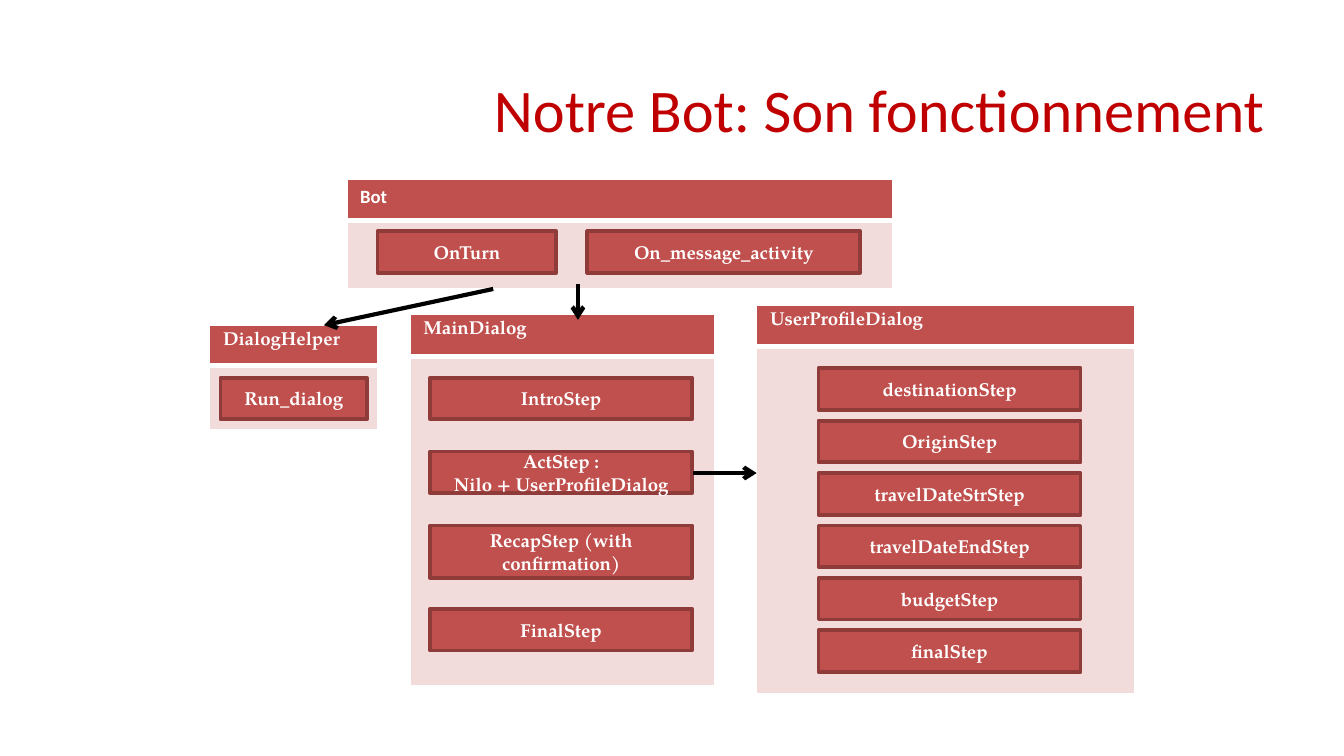
import pptx
import pptx.dml.color
import pptx.enum.shapes
import pptx.enum.text
import pptx.oxml
import pptx.oxml.ns
import pptx.util
from dataclasses import dataclass

Inches = pptx.util.Inches
Pt = pptx.util.Pt
RGBColor = pptx.dml.color.RGBColor
PP_ALIGN = pptx.enum.text.PP_ALIGN
MSO_ANCHOR = pptx.enum.text.MSO_ANCHOR


@dataclass(frozen=True)
class Theme:
    title_color: str = "C00000"
    fill: str = "C0504D"
    outline: str = "8E3B39"
    panel: str = "F2DCDB"
    light: str = "FFFFFF"
    arrow: str = "000000"
    title_font: str = "Calibri"
    body_font: str = "TeX Gyre Pagella"
    title_size: float = 32.4
    body_size: float = 10


theme = Theme()


def add_text(paragraph, text, font, size, color, bold, alignment):
    paragraph.alignment = alignment
    run = paragraph.add_run()
    run.text = text
    run.font.name = font
    run.font.size = Pt(size)
    run.font.bold = bold
    run.font.color.rgb = RGBColor.from_string(color)


def add_xml(parent, tag, content="", attributes=""):
    namespace = pptx.oxml.ns.nsdecls("a")
    parent.append(pptx.oxml.parse_xml(f"<a:{tag} {namespace} {attributes}>{content}</a:{tag}>"))


# Widescreen slide, 16:9
presentation = pptx.Presentation()
presentation.slide_width = Inches(10)
presentation.slide_height = Inches(10 * 9 / 16)
slide = presentation.slides.add_slide(presentation.slide_layouts[5])

# Title
title = slide.shapes.title
title.left, title.top, title.width, title.height = map(Inches, (0.49, 0.47, 9.02, 0.67))
title.text_frame.vertical_anchor = MSO_ANCHOR.MIDDLE
add_text(title.text_frame.paragraphs[0], "Notre Bot: Son fonctionnement", theme.title_font,
         theme.title_size, theme.title_color, False, PP_ALIGN.RIGHT)

# Panels: name, font, left, top, width, header height, body height
panels = [
    ("Bot", theme.title_font, 2.58, 1.33, 4.06, 0.31, 0.51),
    ("DialogHelper", theme.body_font, 1.56, 2.42, 1.25, 0.3, 0.48),
    ("MainDialog", theme.body_font, 3.05, 2.34, 2.27, 0.31, 2.45),
    ("UserProfileDialog", theme.body_font, 5.63, 2.27, 2.81, 0.31, 2.58),
]
for name, font, left, top, width, header_height, body_height in panels:
    table = slide.shapes.add_table(2, 1, Inches(left), Inches(top), Inches(width),
                                   Inches(header_height + body_height)).table
    table.rows[0].height = Inches(header_height)
    table.rows[1].height = Inches(body_height)
    header, body = table.cell(0, 0), table.cell(1, 0)
    for cell, color, top_width, bottom_width in ((header, theme.fill, 1, 3),
                                                 (body, theme.panel, 3, 1)):
        properties = cell._tc.get_or_add_tcPr()
        for tag, line_width in (("lnL", 1), ("lnR", 1), ("lnT", top_width), ("lnB", bottom_width)):
            add_xml(properties, tag,
                    f'<a:solidFill><a:srgbClr val="{theme.light}"/></a:solidFill>',
                    f'w="{Pt(line_width)}"')
        cell.fill.solid()
        cell.fill.fore_color.rgb = RGBColor.from_string(color)
    add_text(header.text_frame.paragraphs[0], name, font, theme.body_size, theme.light,
             True, PP_ALIGN.LEFT)

# Steps: lines of text, left, top, width, height
step_height = 0.31
steps = [
    (["OnTurn"], 2.81, 1.72, 1.33, step_height),
    (["On_message_activity"], 4.37, 1.72, 2.03, step_height),
    (["Run_dialog"], 1.64, 2.81, 1.09, step_height),
    (["IntroStep"], 3.2, 2.81, 1.95, step_height),
    (["ActStep :", "Nilo + UserProfileDialog"], 3.2, 3.36, 1.95, step_height),
    (["RecapStep (with confirmation)"], 3.2, 3.91, 1.95, 0.39),
    (["FinalStep"], 3.2, 4.53, 1.95, step_height),
]
profile_steps = ["destinationStep", "OriginStep", "travelDateStrStep", "travelDateEndStep",
                 "budgetStep", "finalStep"]
for index, name in enumerate(profile_steps):
    steps.append(([name], 6.09, 2.74 + 0.39 * index, 1.95, step_height))

for lines, left, top, width, height in steps:
    shape = slide.shapes.add_shape(pptx.enum.shapes.MSO_SHAPE.RECTANGLE, Inches(left),
                                   Inches(top), Inches(width), Inches(height))
    shape.shadow.inherit = False
    shape.fill.solid()
    shape.fill.fore_color.rgb = RGBColor.from_string(theme.fill)
    shape.line.color.rgb = RGBColor.from_string(theme.outline)
    shape.line.width = Pt(2)
    frame = shape.text_frame
    frame.word_wrap = True
    frame.vertical_anchor = MSO_ANCHOR.MIDDLE
    for index, line in enumerate(lines):
        paragraph = frame.add_paragraph() if index else frame.paragraphs[0]
        add_text(paragraph, line, theme.body_font, theme.body_size, theme.light, True,
                 PP_ALIGN.CENTER)

# Arrows between panels: start and end points
arrows = [
    (3.67, 2.15, 2.41, 2.42),
    (4.3, 2.11, 4.3, 2.38),
    (5.16, 3.52, 5.63, 3.52),
]
for points in arrows:
    connector = slide.shapes.add_connector(pptx.enum.shapes.MSO_CONNECTOR.STRAIGHT,
                                           *map(Inches, points))
    connector.line.color.rgb = RGBColor.from_string(theme.arrow)
    connector.line.width = Pt(2.25)
    add_xml(connector.line._get_or_add_ln(), "tailEnd", attributes='type="arrow"')
    add_xml(connector._element.spPr, "effectLst")

presentation.save("out.pptx")
